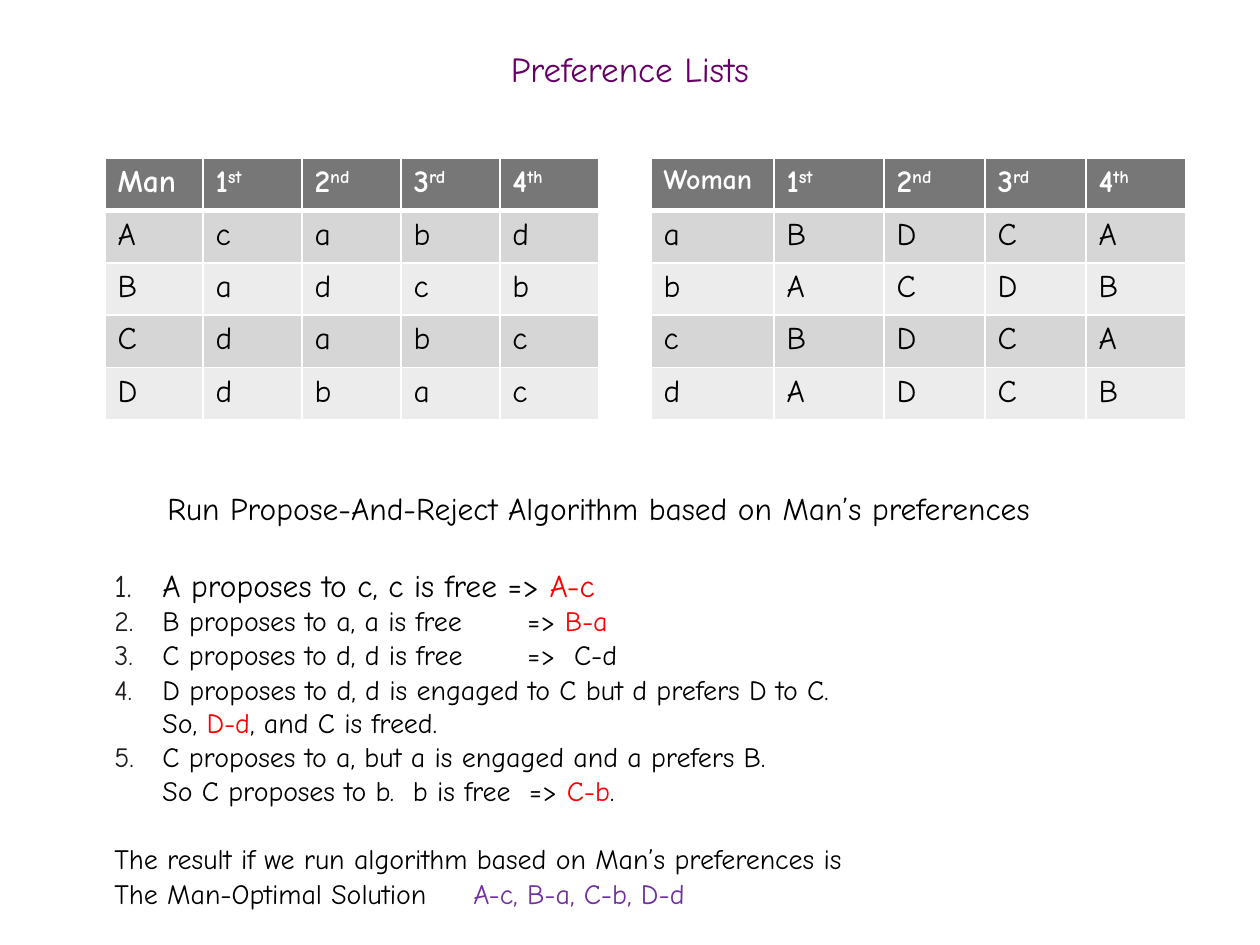
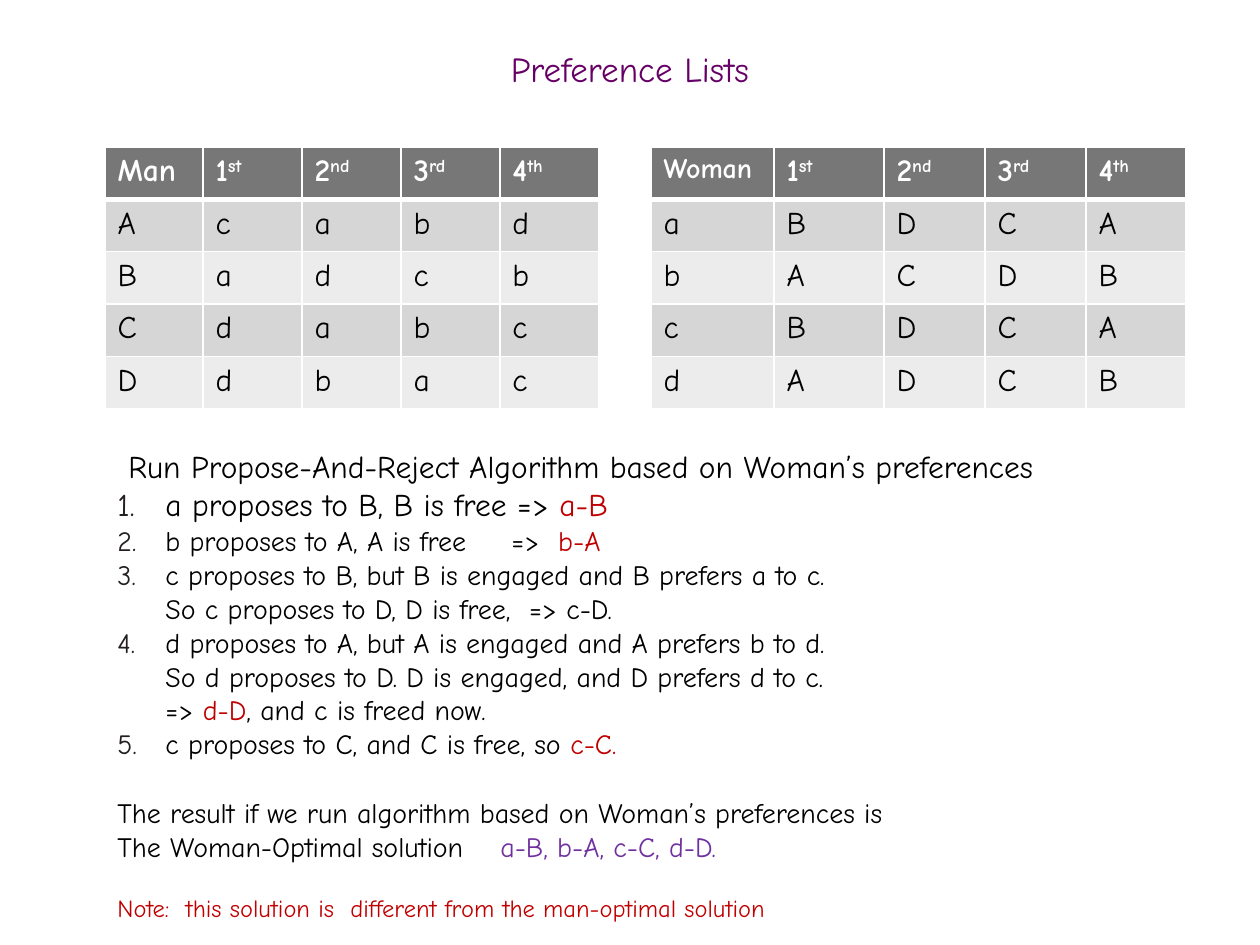
from dataclasses import dataclass

from lxml import etree
from pptx import Presentation
from pptx import util as u
from pptx.dml.color import RGBColor
from pptx.enum import text
from pptx.oxml import ns


@dataclass(frozen=True)
class Theme:
    face: str = "Comic Neue"
    title: str = "660066"
    ink: str = "000000"
    number: str = "231F20"
    red: str = "FF0000"
    dark_red: str = "C00000"
    violet: str = "7030A0"
    white: str = "FFFFFF"
    header: str = "777777"
    bands: tuple[str, str] = ("D6D6D6", "ECECEC")
    title_size: int = 20
    lead_size: int = 18
    body_size: int = 16
    note_size: int = 14


@dataclass(frozen=True)
class Box:
    x: int
    y: int
    w: int
    h: int


@dataclass(frozen=True)
class PreferenceTable:
    who: str
    who_size: int
    x: int
    widths: tuple[int, ...]
    rows: tuple[str, ...]


@dataclass(frozen=True)
class Line:
    before: str
    match: str = ""
    after: str = ""
    match_color: str = ""
    color: str = ""
    size: int = 0
    gap: float = 0.3
    numbered: bool = False
    indent: int = 0
    tab: int = 0


@dataclass(frozen=True)
class Page:
    table_top: int
    body: Box
    lines: tuple[Line, ...]


T = Theme()
PX_PER_INCH = 126
TITLE_BOX = Box(0, 42, 1260, 63)
TABLE_HEIGHT = 262
HANGING = 48
RANKS = (("1", "st"), ("2", "nd"), ("3", "rd"), ("4", "th"))

TABLES = (
    PreferenceTable("Man", T.lead_size, 105, (98, 99, 99, 99, 99),
                    ("Acabd", "Badcb", "Cdabc", "Ddbac")),
    PreferenceTable("Woman", T.body_size, 651, (123, 110, 101, 101, 100),
                    ("aBDCA", "bACDB", "cBDCA", "dADCB")),
)


def step(before: str, match: str = "", after: str = "", color: str = T.red,
         size: int = 0, gap: float = 0.3, tab: int = 0) -> Line:
    return Line(before, match, after, color, size=size, gap=gap,
                numbered=True, tab=tab)


PAGES = (
    Page(158, Box(102, 483, 1092, 432), (
        Line("Run Propose-And-Reject Algorithm based on Man’s preferences",
             size=T.lead_size, gap=0, indent=53),
        step("A proposes to c, c is free => ", "A-c", size=T.lead_size, gap=22),
        step("B proposes to a, a is free\t=> ", "B-a", tab=413),
        step("C proposes to d, d is free\t=>  C-d", tab=413),
        step("D proposes to d, d is engaged to C but d prefers D to C.\nSo, ",
             "D-d", ", and C is freed."),
        step("C proposes to a, but a is engaged and a prefers B.\n"
             "So C proposes to b.  b is free  => ", "C-b", "."),
        Line("The result if we run algorithm based on Man’s preferences is", gap=20),
        Line("The Man-Optimal Solution\t", "A-c, B-a, C-b, D-d",
             match_color=T.violet, tab=359),
    )),
    Page(147, Box(105, 441, 1092, 494), (
        Line("Run Propose-And-Reject Algorithm based on Woman’s preferences",
             size=T.lead_size, gap=0, indent=11),
        step("a proposes to B, B is free => ", "a-B", color=T.dark_red,
             size=T.lead_size),
        step("b proposes to A, A is free\t=>  ", "b-A", color=T.dark_red, tab=394),
        step("c proposes to B, but B is engaged and B prefers a to c.\n"
             "So c proposes to D, D is free,  => c-D."),
        step("d proposes to A, but A is engaged and A prefers b to d.\n"
             "So d proposes to D. D is engaged, and D prefers d to c.\n=> ",
             "d-D", ", and c is freed now.", T.dark_red),
        step("c proposes to C, and C is free, so ", "c-C.", color=T.dark_red),
        Line("The result if we run algorithm based on Woman’s preferences is", gap=20),
        Line("The Woman-Optimal solution\t", "a-B, b-A, c-C, d-D.",
             match_color=T.violet, tab=383),
        Line("Note:  this solution is  different from the man-optimal solution",
             color=T.dark_red, size=T.note_size, gap=17),
    )),
)


def px(n: int) -> int:
    return round(n * u.Inches(1) / PX_PER_INCH)


def rgb(color: str) -> RGBColor:
    return RGBColor.from_string(color)


def sub(parent, tag: str, **attrs):
    return etree.SubElement(parent, ns.qn(tag), attrs)


def set_font(p, size: int, color: str, bold: bool = False) -> None:
    p.font.name = T.face
    p.font.size = u.Pt(size)
    p.font.bold = bold
    p.font.color.rgb = rgb(color)


def add_box(s, box: Box):
    tf = s.shapes.add_textbox(px(box.x), px(box.y), px(box.w), px(box.h)).text_frame
    tf.word_wrap = True
    return tf


def add_title(s, title: str) -> None:
    tf = add_box(s, TITLE_BOX)
    tf.vertical_anchor = text.MSO_ANCHOR.MIDDLE
    p = tf.paragraphs[0]
    p.alignment = text.PP_ALIGN.CENTER
    p.line_spacing = 0.7
    p.add_run().text = title
    set_font(p, T.title_size, T.title)


def set_borders(cell, top: int, bottom: int) -> None:
    tcPr = cell._tc.get_or_add_tcPr()
    sides = (("a:lnL", 1), ("a:lnR", 1), ("a:lnT", top), ("a:lnB", bottom))
    for i, (tag, width) in enumerate(sides):
        ln = etree.Element(ns.qn(tag), w=str(u.Pt(width)))
        sub(sub(ln, "a:solidFill"), "a:srgbClr", val=T.white)
        tcPr.insert(i, ln)


def add_preferences(s, spec: PreferenceTable, top: int) -> None:
    table = s.shapes.add_table(len(spec.rows) + 1, len(spec.widths), px(spec.x),
                               px(top), px(sum(spec.widths)),
                               px(TABLE_HEIGHT)).table
    table.horz_banding = False
    for col, width in zip(table.columns, spec.widths):
        col.width = px(width)
    grid = [((spec.who, ""), *RANKS)]
    grid += [[(letter, "") for letter in row] for row in spec.rows]
    for i, row in enumerate(grid):
        table.rows[i].height = px(TABLE_HEIGHT) // len(grid)
        head = i == 0
        for j, (label, ordinal) in enumerate(row):
            cell = table.cell(i, j)
            cell.fill.solid()
            cell.fill.fore_color.rgb = rgb(T.header if head else T.bands[(i - 1) % 2])
            set_borders(cell, 3 if i == 1 else 1, 3 if head else 1)
            p = cell.text_frame.paragraphs[0]
            p.add_run().text = label
            if ordinal:
                r = p.add_run()
                r.text = ordinal
                r.font._element.set("baseline", "30000")
            size = spec.who_size if head and j == 0 else T.lead_size
            set_font(p, size, T.white if head else T.ink, head)


def add_text(p, content: str, color: str = "") -> None:
    for i, part in enumerate(content.split("\n")):
        if i:
            p.add_line_break()
        if part:
            r = p.add_run()
            r.text = part
            if color:
                r.font.color.rgb = rgb(color)


def add_line(p, line: Line) -> None:
    if line.gap:
        p.space_before = u.Pt(line.gap)
    pPr = p._p.get_or_add_pPr()
    if line.numbered:
        pPr.set("marL", str(px(HANGING)))
        pPr.set("indent", str(-px(HANGING)))
        sub(sub(pPr, "a:buClr"), "a:srgbClr", val=T.number)
        sub(pPr, "a:buFont", typeface=T.face)
        sub(pPr, "a:buAutoNum", type="arabicPeriod")
    elif line.indent:
        pPr.set("marL", str(px(line.indent)))
    if line.tab:
        sub(sub(pPr, "a:tabLst"), "a:tab", pos=str(px(line.tab)), algn="l")
    set_font(p, line.size or T.body_size, line.color or T.ink)
    add_text(p, line.before)
    add_text(p, line.match, line.match_color)
    add_text(p, line.after)


def add_page(prs, page: Page) -> None:
    s = prs.slides.add_slide(prs.slide_layouts[6])
    add_title(s, "Preference Lists")
    for spec in TABLES:
        add_preferences(s, spec, page.table_top)
    tf = add_box(s, page.body)
    for i, line in enumerate(page.lines):
        add_line(tf.add_paragraph() if i else tf.paragraphs[0], line)


def main() -> None:
    prs = Presentation()
    prs.slide_width, prs.slide_height = px(1260), px(945)
    for page in PAGES:
        add_page(prs, page)
    prs.save("out.pptx")


if __name__ == "__main__":
    main()
